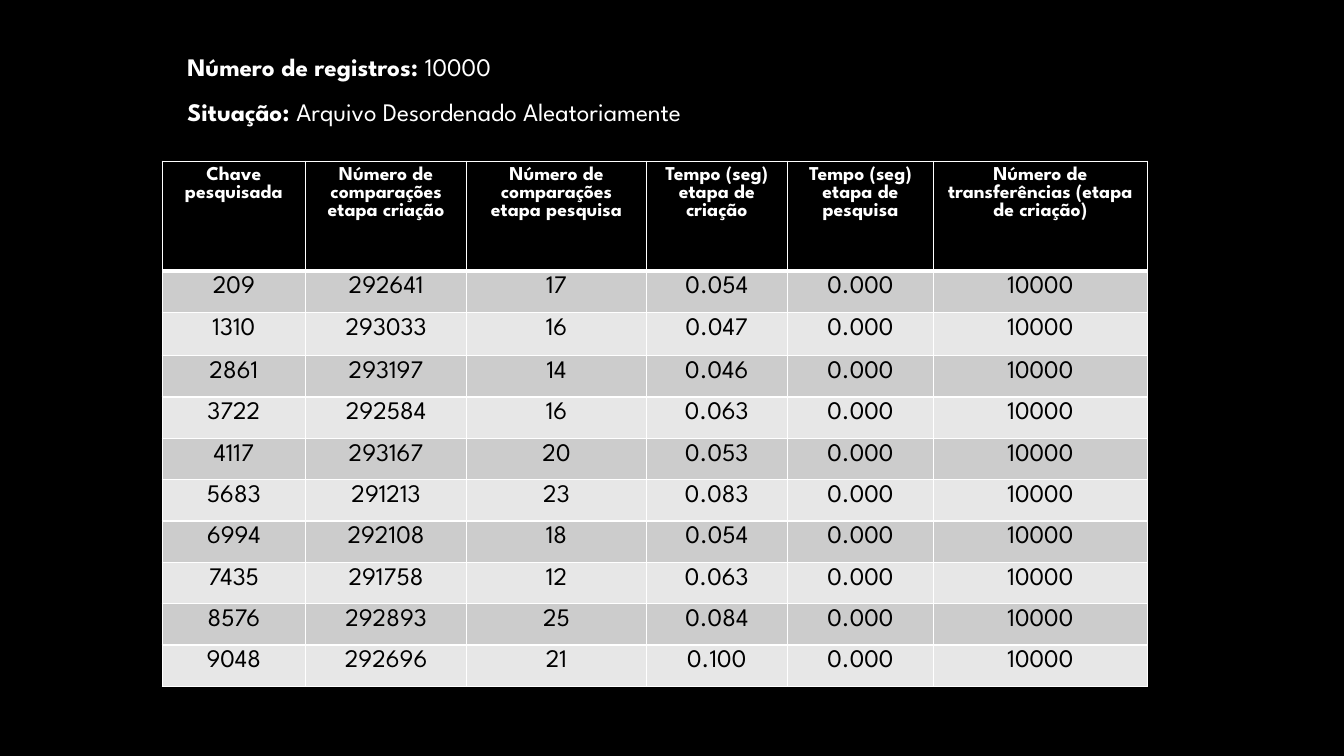
"""Build the slide of search results for a randomly ordered file of 10000 records."""
import pptx
import pptx.dml.color
import pptx.enum.text
import pptx.oxml
import pptx.oxml.ns
import pptx.util

Inches = pptx.util.Inches

SUMMARY = [
    ("Número de registros: ", "10000"),
    ("Situação: ", "Arquivo Desordenado Aleatoriamente"),
]
HEADINGS = (
    "Chave pesquisada",
    "Número de comparações etapa criação",
    "Número de comparações etapa pesquisa",
    "Tempo (seg) etapa de criação",
    "Tempo (seg) etapa de pesquisa",
    "Número de transferências (etapa de criação)",
)
SEARCHES = [
    ("209", "292641", "17", "0.054"),
    ("1310", "293033", "16", "0.047"),
    ("2861", "293197", "14", "0.046"),
    ("3722", "292584", "16", "0.063"),
    ("4117", "293167", "20", "0.053"),
    ("5683", "291213", "23", "0.083"),
    ("6994", "292108", "18", "0.054"),
    ("7435", "291758", "12", "0.063"),
    ("8576", "292893", "25", "0.084"),
    ("9048", "292696", "21", "0.100"),
]
SEARCH_TIME, TRANSFERS = "0.000", "10000"

COLUMN_WIDTHS = (1.42, 1.6, 1.78, 1.4, 1.45, 2.12)
ROW_HEIGHTS = [1.09, 0.41, 0.43] + [0.41] * 8
BLACK, WHITE = "000000", "FFFFFF"
BANDS = ("E7E7E7", "CCCCCC")
FACE = "League Spartan"
LABEL = {"name": FACE, "size": pptx.util.Pt(18), "bold": True}
DETAIL = {**LABEL, "bold": False}
HEADING = {**LABEL, "size": pptx.util.Pt(14)}


def paint(color_format, color):
    color_format.rgb = pptx.dml.color.RGBColor.from_string(color)


def write(paragraph, text, style, color):
    run = paragraph.add_run()
    run.text = text
    for attribute, value in style.items():
        setattr(run.font, attribute, value)
    paint(run.font.color, color)


def add_borders(cell, widths):
    properties = cell._tc.get_or_add_tcPr()
    for side, width in widths.items():
        properties.append(pptx.oxml.parse_xml(
            f'<a:ln{side} {pptx.oxml.ns.nsdecls("a")} w="{pptx.util.Pt(width)}">'
            f'<a:solidFill><a:srgbClr val="{WHITE}"/></a:solidFill></a:ln{side}>'))


def add_results(slide):
    rows = [HEADINGS] + [search + (SEARCH_TIME, TRANSFERS) for search in SEARCHES]
    results = slide.shapes.add_table(
        len(rows), len(HEADINGS), Inches(1.61), Inches(1.6),
        Inches(sum(COLUMN_WIDTHS)), Inches(sum(ROW_HEIGHTS))).table
    for column, width in zip(results.columns, COLUMN_WIDTHS):
        column.width = Inches(width)
    for index, (row, height) in enumerate(zip(rows, ROW_HEIGHTS)):
        results.rows[index].height = Inches(height)
        is_heading = index == 0
        style, color, band = (
            (HEADING, WHITE, BLACK) if is_heading else (DETAIL, BLACK, BANDS[index % 2]))
        borders = {"L": 1, "R": 1, "T": 3 if index == 1 else 1, "B": 3 if is_heading else 1}
        for position, text in enumerate(row):
            cell = results.cell(index, position)
            add_borders(cell, borders)
            cell.fill.solid()
            paint(cell.fill.fore_color, band)
            paragraph = cell.text_frame.paragraphs[0]
            paragraph.alignment = pptx.enum.text.PP_ALIGN.CENTER
            write(paragraph, text, style, color)


def add_summary(slide):
    frame = slide.shapes.add_textbox(
        Inches(1.76), Inches(0.31), Inches(6.36), Inches(1.01)).text_frame
    frame.word_wrap = False
    frame.auto_size = pptx.enum.text.MSO_AUTO_SIZE.SHAPE_TO_FIT_TEXT
    for index, (label, detail) in enumerate(SUMMARY):
        paragraph = frame.add_paragraph() if index else frame.paragraphs[0]
        paragraph.line_spacing = 1.5
        write(paragraph, label, LABEL, WHITE)
        write(paragraph, detail, DETAIL, WHITE)


def main():
    deck = pptx.Presentation()
    deck.slide_width, deck.slide_height = Inches(13.33), Inches(7.5)
    slide = deck.slides.add_slide(deck.slide_layouts.get_by_name("Blank"))
    slide.background.fill.solid()
    paint(slide.background.fill.fore_color, BLACK)
    add_results(slide)
    add_summary(slide)
    deck.save("out.pptx")


if __name__ == "__main__":
    main()
